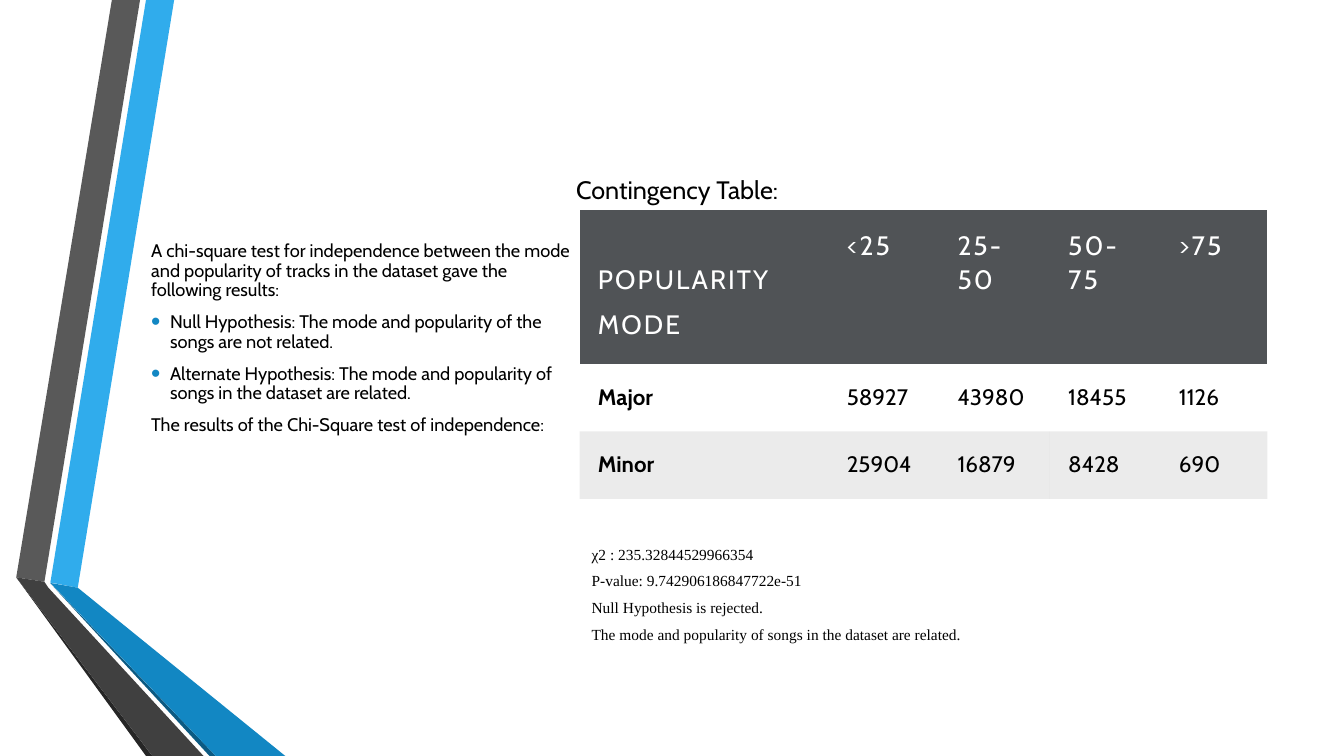
import pptx
import pptx.dml.color
import pptx.enum.text
import pptx.oxml
import pptx.oxml.ns
import pptx.util

Cm, Pt = pptx.util.Cm, pptx.util.Pt
TOP, LOW = 0, 19.05  # slide edges in cm


def paint(text):
    return pptx.dml.color.RGBColor.from_string(text)


def put(item, style):
    for name, value in style.items():
        setattr(item, name, value)


def add_xml(host, tag, **attrs):
    node = pptx.oxml.ns.qn("a:" + tag)
    child = host.makeelement(node, attrs)
    host.append(child)
    return child


class Deck:
    font = "Cabin"
    ink = "000000"
    blue = "1287C3"

    def __init__(self):
        self.prs = pptx.Presentation()
        self.prs.slide_width, self.prs.slide_height = Cm(33.87), Cm(LOW)
        self.slide = self.prs.slides.add_slide(self.prs.slide_layouts[6])

    def band(self, color, points):
        spots = [(Cm(x), Cm(y)) for x, y in points]
        form = self.slide.shapes.build_freeform(*spots[0])
        form.add_line_segments(spots[1:], close=True)
        shape = form.convert_to_shape()
        shape.shadow.inherit = False
        shape.fill.solid()
        shape.fill.fore_color.rgb = paint(color)
        shape.line.fill.background()

    def prose(self, frame, lines, size, color=ink, font=font, bold=False,
              track=0, **layout):
        """Fill a frame with paragraphs and return them."""
        paras = []
        for i, line in enumerate(lines):
            para = frame.add_paragraph() if i else frame.paragraphs[0]
            put(para, layout)
            run = para.add_run()
            run.text = line
            put(run.font, {"size": Pt(size), "name": font, "bold": bold})
            run.font.color.rgb = paint(color)
            if track:
                run._r.get_or_add_rPr().set("spc", str(track))
            paras.append(para)
        return paras

    def text(self, box, lines, size, frame=None, **style):
        area = self.slide.shapes.add_textbox(*map(Cm, box)).text_frame
        put(area, {"word_wrap": True, **(frame or {})})
        return self.prose(area, lines, size, **style)

    def indent(self, para, left, first):
        props = para._p.get_or_add_pPr()
        props.set("marL", str(Cm(left)))
        props.set("indent", str(Cm(first)))
        return props

    def bullet(self, para):
        props = self.indent(para, 0.48, -0.48)
        add_xml(add_xml(props, "buClr"), "srgbClr", val=self.blue)
        add_xml(props, "buSzPct", val="145000")
        add_xml(props, "buFont", typeface="Arial")
        add_xml(props, "buChar", char="•")

    def table(self, left, top, widths, heights, rows):
        size = (Cm(left), Cm(top), Cm(sum(widths)), Cm(sum(heights)))
        grid = self.slide.shapes.add_table(len(rows), len(widths), *size).table
        put(grid, {"first_row": False, "horz_banding": False})
        # Plain style without grid lines
        grid._tbl.tblPr[0].text = "{2D5ABB26-0587-4C30-8999-92F81FD0307C}"
        for col, width in zip(grid.columns, widths):
            col.width = Cm(width)
        for row, height in zip(grid.rows, heights):
            row.height = Cm(height)
        for r, row in enumerate(rows):
            for c, value in enumerate(row):
                self.cell(grid.cell(r, c), value, r, c)
        return grid

    def cell(self, cell, value, row, col):
        sides = ("left", "right", "top", "bottom")
        put(cell, {"margin_" + side: Cm(0.46) for side in sides})
        if row == 1:
            cell.fill.background()
        else:
            cell.fill.solid()
            cell.fill.fore_color.rgb = paint(self.ink if row else "505356")
        if row == 2:
            tint = cell._tc.tcPr.find(".//" + pptx.oxml.ns.qn("a:srgbClr"))
            add_xml(tint, "alpha", val="8000")
        look = ({"size": 16, "bold": col == 0} if row else
                {"size": 19, "color": "FFFFFF", "track": 150})
        self.prose(cell.text_frame, value.split("\n"), line_spacing=1.06,
                   space_after=Pt(8), **look)


def main():
    deck = Deck()

    # Folded ribbons on the left
    bands = [
        ("30ACEC", [(1.27, 14.68), (1.96, 14.81), (4.39, TOP), (3.68, TOP)]),
        ("595959", [(3.53, TOP), (2.82, TOP), (0.41, 14.55), (1.12, 14.66)]),
        ("262626", [(0.41, 14.55), (3.68, LOW), (3.84, LOW)]),
        ("0C5A82", [(1.27, 14.7), (5.28, LOW), (5.44, LOW)]),
        (deck.blue, [(1.27, 14.69), (5.44, LOW), (7.19, LOW), (1.96, 14.81)]),
        ("404040", [(5.13, LOW), (1.22, 14.81), (1.12, 14.66), (0.41, 14.55),
                    (3.84, LOW)]),
    ]
    for color, points in bands:
        deck.band(color, points)

    # Test and its hypotheses
    paras = deck.text((3.56, 5.97, 11.23, 8.23), [
        "A chi-square test for independence between the mode and popularity "
        "of tracks in the dataset gave the following results:",
        "Null Hypothesis: The mode and popularity of the songs are not "
        "related.",
        "Alternate Hypothesis: The mode and popularity of songs in the "
        "dataset are related.",
        "The results of the Chi-Square test of independence:",
    ], 13, line_spacing=0.9, space_before=Pt(2.6), space_after=Pt(6))
    for para in paras[1:3]:
        deck.bullet(para)

    # Results
    grow = {"auto_size": pptx.enum.text.MSO_AUTO_SIZE.SHAPE_TO_FIT_TEXT}
    middle = pptx.enum.text.MSO_ANCHOR.MIDDLE
    paras = deck.text((13.39, 13.59, 11.23, 2.77), [
        "χ2 : 235.32844529966354",
        "P-value: 9.742906186847722e-51",
        "Null Hypothesis is rejected.",
        "The mode and popularity of songs in the dataset are related.",
    ], 11, {**grow, "word_wrap": False, "vertical_anchor": middle},
        font="Times New Roman", space_after=Pt(6))
    for para in paras:
        deck.indent(para, 0, 1.27)

    # Table with its heading
    grid = deck.table(14.61, 5.28, [6.27] + [2.79] * 3 + [2.69],
                      [3.89, 1.7, 1.7], [
        ["POPULARITY\nMODE", "<25", "25-50", "50-75", ">75"],
        ["Major", "58927", "43980", "18455", "1126"],
        ["Minor", "25904", "16879", "8428", "690"],
    ])
    grid.cell(0, 0).margin_top = Cm(1.32)  # one line lower than the ranges
    deck.text((14.27, 4.27, 16.94, 1.02), ["Contingency Table:"], 18, grow)

    deck.prs.save("out.pptx")


if __name__ == "__main__":
    main()
